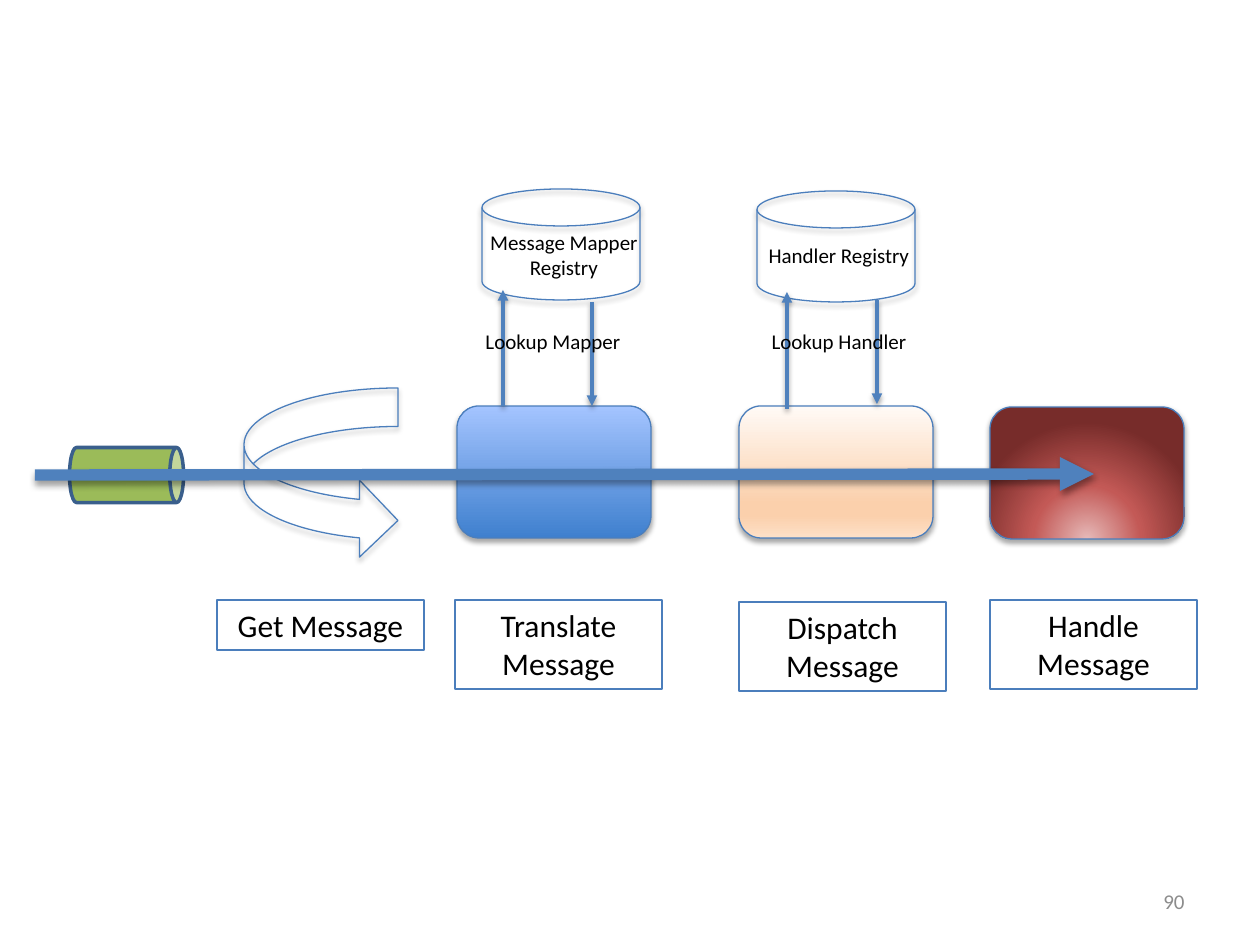
from lxml import etree
from pptx import Presentation
from pptx import util as u
from pptx.dml.color import RGBColor
from pptx.enum import shapes, text
from pptx.oxml import ns

EMU_PER_PX = 914400 // 126
FONT = "Calibri"
COLORS = {
    "outline": "4B7EBC",
    "arrow": "4F81BD",
    "queue": "9BBB59",
    "queue_outline": "3A5F8C",
    "text": "000000",
    "page": "8C8C8C",
    "shadow": "000000",
}
TRANSLATE_STOPS = [(0, "3F80CE"), (100, "A4C4FF")]
DISPATCH_STOPS = [(0, "FFFAF6"), (74, "FBD0AC"), (83, "FBD0AC"), (100, "FDE0C7")]
HANDLE_STOPS = [(0, "E6B9B8"), (46, "C35956"), (100, "772C2A")]
SHAPE = shapes.MSO_SHAPE
CENTER = text.PP_ALIGN.CENTER


def px(*lengths):
    return [u.Emu(length * EMU_PER_PX) for length in lengths]


def add_xml(parent, tag, **attributes):
    child = etree.SubElement(parent, ns.qn(tag))
    for name, value in attributes.items():
        child.set(name, str(value))
    return child


class FlowSlide:
    """Holds the slide and draws its elements in one style."""

    def __init__(self, presentation):
        self.slide = presentation.slides.add_slide(presentation.slide_layouts[6])

    def color(self, name):
        return RGBColor.from_string(COLORS[name])

    def outline(self, shape, color="outline", width=0.75):
        shape.line.color.rgb = self.color(color)
        shape.line.width = u.Pt(width)

    def shadow(self, shape, alpha=35, distance=1.8):
        effects = add_xml(shape._element.spPr, "a:effectLst")
        outer = add_xml(effects, "a:outerShdw", blurRad=u.Pt(3.1), dist=u.Pt(distance),
                        dir=90 * 60000, rotWithShape=0)
        shade = add_xml(outer, "a:srgbClr", val=COLORS["shadow"])
        add_xml(shade, "a:alpha", val=alpha * 1000)

    def gradient(self, shape, stops, angle=None):
        """Fill linearly at an angle, or radially from below when there is none."""
        fill = add_xml(shape._element.spPr, "a:gradFill", rotWithShape=1)
        stop_list = add_xml(fill, "a:gsLst")
        for position, color in stops:
            stop = add_xml(stop_list, "a:gs", pos=position * 1000)
            add_xml(stop, "a:srgbClr", val=color)
        if angle is None:
            circle = add_xml(fill, "a:path", path="circle")
            add_xml(circle, "a:fillToRect", l=50000, t=130000, r=50000, b=-30000)
        else:
            add_xml(fill, "a:lin", ang=angle * 60000, scaled=0)

    def hollow(self, kind, *box):
        shape = self.slide.shapes.add_shape(kind, *px(*box))
        shape.fill.background()
        self.outline(shape)
        self.shadow(shape)

    def queue(self, *box):
        shape = self.slide.shapes.add_shape(SHAPE.CAN, *px(*box))
        shape.rotation = 90
        shape.shadow.inherit = False
        shape.fill.solid()
        shape.fill.fore_color.rgb = self.color("queue")
        self.outline(shape, "queue_outline", 2)

    def stage(self, left, top, stops, angle=None):
        shape = self.slide.shapes.add_shape(SHAPE.ROUNDED_RECTANGLE, *px(left, top, 194, 132))
        self.gradient(shape, stops, angle)
        self.outline(shape)
        self.shadow(shape)

    def label(self, words, box, size=12, color="text", align=CENTER,
              anchor=text.MSO_ANCHOR.TOP, boxed=False):
        shape = self.slide.shapes.add_textbox(*px(*box))
        if boxed:
            self.outline(shape)
        frame = shape.text_frame
        frame.word_wrap = True
        frame.vertical_anchor = anchor
        paragraph = frame.paragraphs[0]
        paragraph.alignment = align
        run = paragraph.add_run()
        run.text = words
        run.font.name = FONT
        run.font.size = u.Pt(size)
        run.font.color.rgb = self.color(color)

    def arrow(self, start, end, width=2):
        connector = self.slide.shapes.add_connector(
            shapes.MSO_CONNECTOR.STRAIGHT, *px(*start, *end))
        self.outline(connector, "arrow", width)
        add_xml(connector.line._get_or_add_ln(), "a:tailEnd", type="triangle")
        self.shadow(connector, 38, 1.6)


def main():
    presentation = Presentation()
    presentation.slide_width, presentation.slide_height = px(1260, 945)
    flow = FlowSlide(presentation)

    flow.label("90", (903, 876, 294, 50), color="page",
               align=text.PP_ALIGN.RIGHT, anchor=text.MSO_ANCHOR.MIDDLE)
    flow.hollow(SHAPE.CURVED_RIGHT_ARROW, 244, 388, 154, 171)
    flow.queue(99, 418, 55, 114)

    flow.stage(457, 406, TRANSLATE_STOPS, 270)
    flow.stage(739, 406, DISPATCH_STOPS, 90)
    flow.stage(990, 407, HANDLE_STOPS)

    for left, top in ((482, 189), (757, 191)):
        flow.hollow(SHAPE.FLOWCHART_MAGNETIC_DISK, left, top, 158, 111)

    for words, left, top, height in (
        ("Get Message", 217, 600, 50),
        ("Translate Message", 455, 600, 89),
        ("Dispatch Message", 739, 602, 89),
        ("Handle Message", 990, 600, 89),
    ):
        flow.label(words, (left, top, 207, height), size=18, boxed=True)

    flow.label("Message Mapper Registry", (464, 223, 200, 63))
    flow.label("Handler Registry", (739, 236, 200, 38))

    for x, start, end in ((503, 406, 290), (787, 409, 292), (592, 302, 406), (877, 300, 404)):
        flow.arrow((x, start), (x, end))

    flow.label("Lookup Mapper", (453, 322, 200, 38))
    flow.label("Lookup Handler", (739, 322, 200, 38))
    flow.arrow((35, 475), (1094, 474), 6.5)

    presentation.save("out.pptx")


if __name__ == "__main__":
    main()
